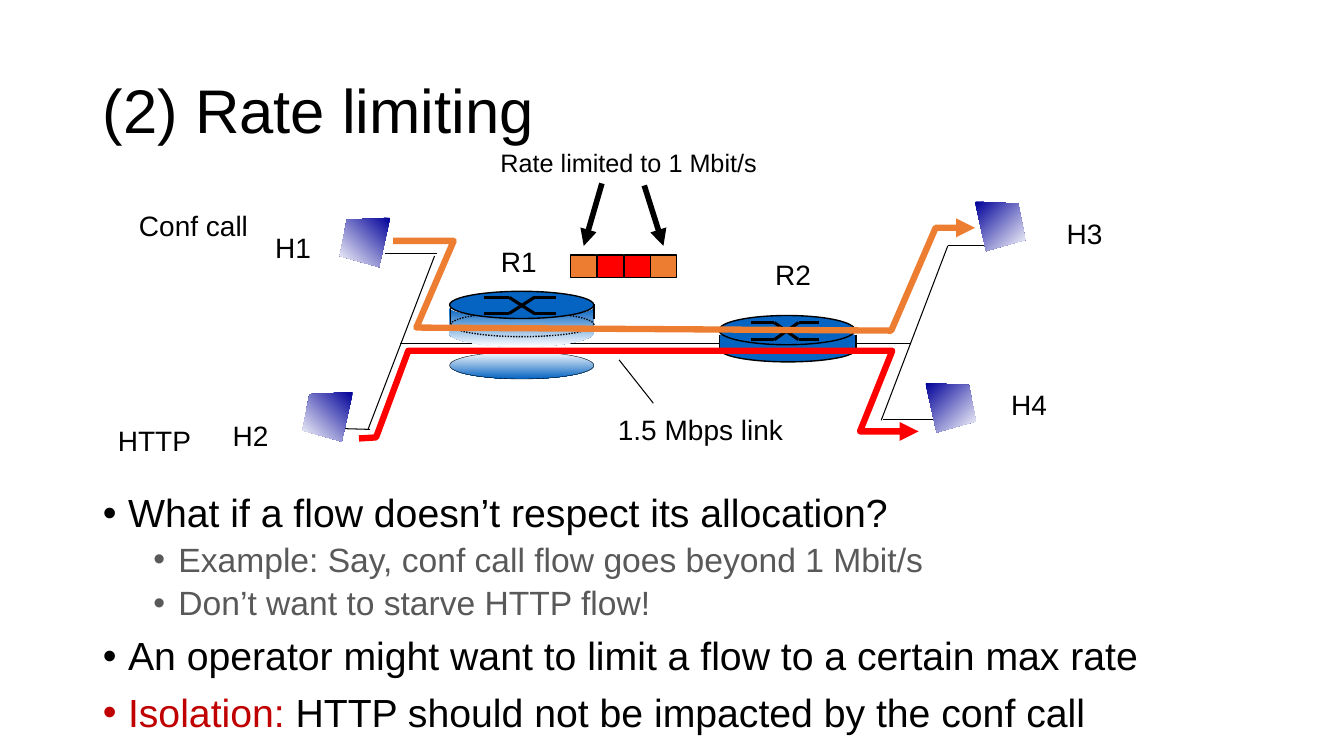
"""Build the rate limiting slide with its network diagram and bullet list."""
import math
from dataclasses import dataclass
from typing import Any, Optional

from pptx import Presentation
from pptx import util as u
from pptx.dml import color as dml
from pptx.enum import dml as dash
from pptx.enum import shapes as kinds
from pptx.enum import text as t
from pptx.oxml import xmlchemy as xml
from pptx.shapes import shapetree as tree

BLACK = dml.RGBColor(0x00, 0x00, 0x00)
WHITE = dml.RGBColor(0xFF, 0xFF, 0xFF)
GREY = dml.RGBColor(0x59, 0x59, 0x59)
CRIMSON = dml.RGBColor(0xC0, 0x00, 0x00)
ROUTER_BLUE = dml.RGBColor(0x05, 0x63, 0xC1)
HOST_BLUE = dml.RGBColor(0x00, 0x00, 0x99)
CALL_ORANGE = dml.RGBColor(0xED, 0x7D, 0x31)
HTTP_RED = dml.RGBColor(0xFF, 0x00, 0x00)
FONT = "Arial"
OVAL, RECT = kinds.MSO_SHAPE.OVAL, kinds.MSO_SHAPE.RECTANGLE

Shapes = tree.SlideShapes | tree.GroupShapes
Point = tuple[float, float]


@dataclass(frozen=True)
class Gradient:
    start: dml.RGBColor
    end: dml.RGBColor
    angle: float


@dataclass(frozen=True)
class Label:
    words: str
    left: float
    top: float
    width: float
    height: float = 0.44
    size: float = 20
    wrap: bool = False
    align: Any = t.PP_ALIGN.LEFT


@dataclass(frozen=True)
class Bullet:
    runs: tuple[tuple[str, dml.RGBColor], ...]
    level: int = 0


@dataclass(frozen=True)
class Host:
    left: float
    top: float
    mirrored: bool = False


LABELS = (
    Label("R1", 4.87, 2.38, 0.56),
    Label("R2", 7.59, 2.51, 0.56),
    Label("H1", 2.63, 2.24, 0.56),
    Label("H2", 2.21, 4.1, 0.56),
    Label("H3", 10.48, 2.1, 0.56),
    Label("H4", 9.93, 3.8, 0.56),
    Label("1.5 Mbps link", 6.03, 4.04, 1.92),
    Label("HTTP", 1.07, 4.15, 1.03, wrap=True),
    Label("Conf call", 1.28, 2.02, 1.44, wrap=True),
    Label("Rate limited to 1 Mbit/s", 4.56, 1.41, 3.35, 0.4, 18, True, t.PP_ALIGN.CENTER),
)
BULLETS = (
    Bullet((("What if a flow doesn’t respect its allocation?", BLACK),)),
    Bullet((("Example: Say, conf call flow goes beyond 1 Mbit/s", GREY),), 1),
    Bullet((("Don’t want to starve HTTP flow!", GREY),), 1),
    Bullet((("An operator might want to limit a flow to a certain max rate", BLACK),)),
    Bullet((("Isolation:", CRIMSON), (" HTTP should not be impacted by the conf call", BLACK))),
)
HOSTS = (Host(3, 3.89), Host(3.37, 2.16), Host(9.67, 2, True), Host(9.18, 3.8, True))
HOST_OUTLINE = ((0.5, 0), (0.07, 0.02), (0, 0.38), (0.39, 0.49))
WIRES = (
    ((4.31, 2.54), (3.65, 4.26)), ((3.67, 4.26), (3.33, 4.25)),
    ((4.33, 2.52), (3.82, 2.52)), ((9.4, 2.44), (8.74, 4.17)),
    ((9.27, 4.16), (8.76, 4.16)), ((9.76, 2.44), (9.4, 2.44)),
    ((6.14, 3.57), (6.48, 4)),
)
FLOWS = (
    (CALL_ORANGE, ((3.9, 2.39), (4.5, 2.39), (4.13, 3.25), (8.84, 3.28), (9.28, 2.26), (9.67, 2.26))),
    (HTTP_RED, ((3.56, 4.35), (3.73, 4.34), (4.05, 3.48), (8.85, 3.48), (8.53, 4.28), (9.11, 4.28))),
)
LIMIT_ARROWS = (((5.97, 1.82), (5.79, 2.44)), ((6.39, 1.84), (6.58, 2.44)))


def apply(target: Any, values: dict[str, Any]) -> None:
    for name, value in values.items():
        setattr(target, name, value)


def place(shape: Any, left: float, top: float, width: float, height: float) -> None:
    apply(shape, {"left": u.Inches(left), "top": u.Inches(top),
                  "width": u.Inches(width), "height": u.Inches(height)})


def style_font(font: Any, size: float, color: dml.RGBColor) -> None:
    apply(font, {"name": FONT, "size": u.Pt(size), "bold": False})
    font.color.rgb = color


def add_arrowhead(line: Any) -> None:
    head = xml.OxmlElement("a:tailEnd")
    head.set("type", "triangle")
    line._get_or_add_ln().append(head)


def paint(shape: Any, fill: Optional[dml.RGBColor | Gradient] = None,
          line: Optional[dml.RGBColor] = None, weight: float = 1) -> None:
    shape.shadow.inherit = False
    if isinstance(fill, Gradient):
        shape.fill.gradient()
        shape.fill.gradient_angle = fill.angle
        for stop, color in zip(shape.fill.gradient_stops, (fill.start, fill.end)):
            stop.color.rgb = color
    elif fill is not None:
        shape.fill.solid()
        shape.fill.fore_color.rgb = fill
    else:
        shape.fill.background()
    if line is None:
        shape.line.fill.background()
    else:
        shape.line.color.rgb = line
        shape.line.width = u.Pt(weight)


def add_line(parent: Shapes, start: Point, end: Point, weight: float, arrow: bool = False) -> None:
    ends = [u.Inches(value) for value in (*start, *end)]
    wire = parent.add_connector(kinds.MSO_CONNECTOR.STRAIGHT, *ends)
    wire.line.color.rgb = BLACK
    wire.line.width = u.Pt(weight)
    if arrow:
        add_arrowhead(wire.line)
    wire._element.spPr.append(xml.OxmlElement("a:effectLst"))


def add_preset(parent: Shapes, kind: Any, box: tuple[float, ...], **look: Any) -> Any:
    shape = parent.add_shape(kind, *[u.Inches(value) for value in box])
    paint(shape, **look)
    return shape


def add_outline(parent: Shapes, points: list[Point], closed: bool, **look: Any) -> Any:
    corners = [(u.Inches(x), u.Inches(y)) for x, y in points]
    builder = parent.build_freeform(*corners[0])
    builder.add_line_segments(corners[1:], close=closed)
    shape = builder.convert_to_shape()
    paint(shape, **look)
    return shape


def lower_arc(center: Point, radius: Point) -> list[Point]:
    angles = [math.pi * step / 24 for step in range(25)]
    return [(center[0] - radius[0] * math.cos(a), center[1] + radius[1] * math.sin(a)) for a in angles]


def add_cross(parent: Shapes, stops: tuple[float, ...], top: float, bottom: float) -> None:
    for near, far in ((top, bottom), (bottom, top)):
        corners = list(zip(stops, (near, near, far, far)))
        for start, end in zip(corners, corners[1:]):
            add_line(parent, start, end, 2.25)


def add_limiting_router(parent: Shapes) -> None:
    bowl = lower_arc((5.17, 3.05), (0.72, 0.11)) + lower_arc((5.17, 3.3), (0.72, 0.14))[::-1]
    add_outline(parent, bowl, True, fill=Gradient(ROUTER_BLUE, WHITE, 270))
    rim = add_preset(parent, OVAL, (4.47, 3.1, 1.42, 0.24), line=BLACK)
    rim.line.dash_style = dash.MSO_LINE.ROUND_DOT
    add_line(parent, (4.47, 3.06), (4.47, 3.21), 1)
    add_line(parent, (5.89, 3.02), (5.89, 3.16), 1)
    add_preset(parent, OVAL, (4.46, 2.89, 1.43, 0.27), fill=ROUTER_BLUE, line=BLACK)
    add_cross(parent, (4.8, 5.05, 5.3, 5.51), 2.95, 3.11)
    add_preset(parent, OVAL, (4.46, 3.49, 1.43, 0.27),
               fill=Gradient(WHITE, ROUTER_BLUE, 270), line=BLACK, weight=0.25)


def add_plain_router(parent: Shapes) -> None:
    add_preset(parent, OVAL, (7.14, 3.34, 1.35, 0.25), fill=ROUTER_BLUE, line=BLACK)
    for side in (7.14, 8.49):
        add_line(parent, (side, 3.32), (side, 3.47), 1)
    add_preset(parent, RECT, (7.14, 3.32, 1.34, 0.15), fill=ROUTER_BLUE)
    add_preset(parent, OVAL, (7.13, 3.13, 1.35, 0.29), fill=ROUTER_BLUE, line=BLACK)
    add_cross(parent, (7.45, 7.68, 7.92, 8.12), 3.2, 3.37)


def add_host(parent: Shapes, host: Host) -> None:
    points = [(host.left + (0.5 - x if host.mirrored else x), host.top + y) for x, y in HOST_OUTLINE]
    add_outline(parent, points, True, fill=Gradient(HOST_BLUE, WHITE, 315 if host.mirrored else 225))


def add_label(parent: Shapes, label: Label) -> None:
    box = (label.left, label.top, label.width, label.height)
    frame = parent.add_textbox(*[u.Inches(value) for value in box]).text_frame
    frame.word_wrap = label.wrap
    paragraph = frame.paragraphs[0]
    paragraph.text, paragraph.alignment = label.words, label.align
    style_font(paragraph.runs[0].font, label.size, BLACK)


def fill_title(title: Any) -> None:
    place(title, 0.92, 0.4, 11.5, 1.45)
    apply(title.text_frame, {"text": "(2) Rate limiting", "vertical_anchor": t.MSO_ANCHOR.MIDDLE,
                             "auto_size": t.MSO_AUTO_SIZE.NONE})
    paragraph = title.text_frame.paragraphs[0]
    apply(paragraph, {"alignment": t.PP_ALIGN.LEFT, "line_spacing": 0.9})
    style_font(paragraph.runs[0].font, 44, BLACK)


def fill_body(body: Any) -> None:
    place(body, 0.92, 4.85, 11.5, 2.54)
    frame = body.text_frame
    frame.auto_size = t.MSO_AUTO_SIZE.NONE
    for index, bullet in enumerate(BULLETS):
        paragraph = frame.add_paragraph() if index else frame.paragraphs[0]
        gap = (5 if bullet.level else 10) if index else 0
        apply(paragraph, {"level": bullet.level, "line_spacing": 0.9,
                          "space_before": u.Pt(gap), "space_after": u.Pt(0)})
        props = paragraph._p.get_or_add_pPr()
        props.set("marL", str(u.Inches(0.25 + 0.5 * bullet.level)))
        props.set("indent", str(u.Inches(-0.25)))
        for tag, name, value in (("a:buFont", "typeface", FONT), ("a:buChar", "char", "•")):
            mark = xml.OxmlElement(tag)
            mark.set(name, value)
            props.append(mark)
        for words, color in bullet.runs:
            run = paragraph.add_run()
            run.text = words
            style_font(run.font, 24 if bullet.level else 28, color)


def main() -> None:
    deck = Presentation()
    apply(deck, {"slide_width": u.Inches(13.33), "slide_height": u.Inches(7.5)})
    slide = deck.slides.add_slide(deck.slide_layouts[1])
    canvas = slide.shapes
    fill_title(canvas.title)
    fill_body(slide.placeholders[1])
    add_line(canvas, (3.97, 3.41), (9.03, 3.41), 0.75)
    add_limiting_router(canvas.add_group_shape().shapes)
    queue = canvas.add_group_shape().shapes
    for slot, color in enumerate((CALL_ORANGE, HTTP_RED, HTTP_RED, CALL_ORANGE)):
        add_preset(queue, RECT, (5.66 + 0.265 * slot, 2.53, 0.26, 0.22), fill=color, line=BLACK, weight=0.75)
    for start, end in WIRES:
        add_line(canvas, start, end, 0.75)
    add_plain_router(canvas.add_group_shape().shapes)
    for color, route in FLOWS:
        flow = add_outline(canvas, list(route), False, line=color, weight=4.5)
        add_arrowhead(flow.line)
    for host in HOSTS:
        add_host(canvas, host)
    for label in LABELS:
        add_label(canvas, label)
    for start, end in LIMIT_ARROWS:
        add_line(canvas, start, end, 4, arrow=True)
    deck.save("out.pptx")


if __name__ == "__main__":
    main()
